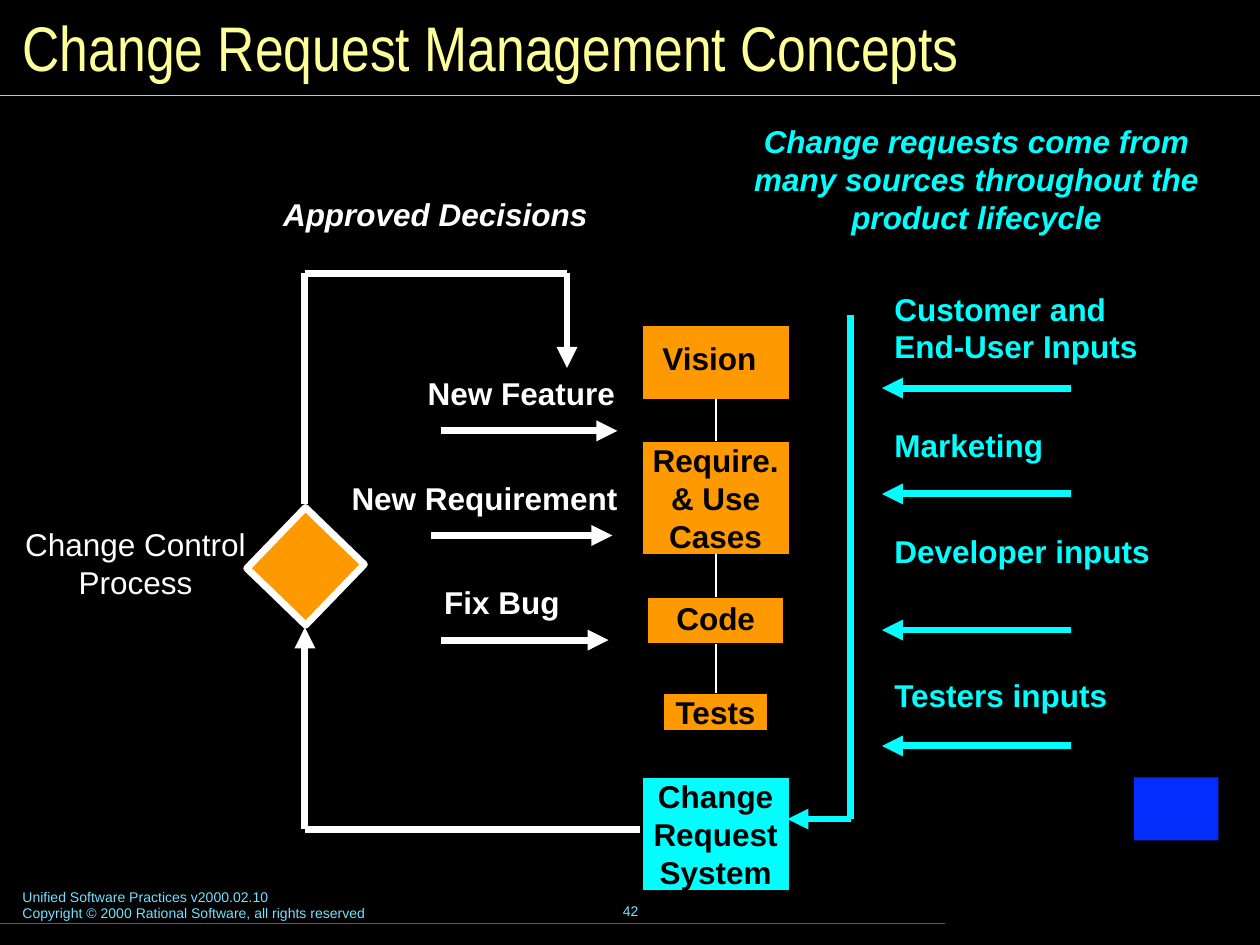
from dataclasses import dataclass

import pptx
import pptx.dml.color
import pptx.enum.shapes
import pptx.enum.text
import pptx.oxml
import pptx.oxml.ns
import pptx.util

Inches = pptx.util.Inches
Pt = pptx.util.Pt
Align = pptx.enum.text.PP_ALIGN
Anchor = pptx.enum.text.MSO_ANCHOR
BOTTOM, TOP = 2, 0  # connection sites of a rectangle


@dataclass(frozen=True)
class Theme:
    black: str = "000000"
    white: str = "FFFFFF"
    cyan: str = "00FFFF"
    orange: str = "FF9900"
    blue: str = "022DFC"
    title: str = "FFFF99"
    footer: str = "73E1FF"
    footer_rule: str = "007E9F"
    font: str = "Arial"
    title_font: str = "Arial Narrow"
    title_size: int = 36
    body_size: int = 18
    footer_size: int = 8
    flow_width: float = 4
    link_width: float = 1.13
    rule_width: float = 0.75


THEME = Theme()


def rgb(value):
    return pptx.dml.color.RGBColor.from_string(value)


def write(frame, paragraphs, color=THEME.white, size=THEME.body_size, font=THEME.font,
          bold=False, italic=False, align=Align.LEFT, anchor=Anchor.TOP,
          margins=(0.1, 0.05, 0.1, 0.05), wrap=True, spacing=None):
    """Fill a text frame with paragraphs in one format."""
    frame.word_wrap = wrap
    frame.auto_size = pptx.enum.text.MSO_AUTO_SIZE.NONE
    frame.vertical_anchor = anchor
    (frame.margin_left, frame.margin_top,
     frame.margin_right, frame.margin_bottom) = map(Inches, margins)
    for index, text in enumerate(paragraphs):
        paragraph = frame.add_paragraph() if index else frame.paragraphs[0]
        paragraph.text = text
        paragraph.alignment = align
        if spacing:
            paragraph.line_spacing = spacing
        for run in paragraph.runs:
            run.font.name = font
            run.font.size = Pt(size)
            run.font.bold = bold
            run.font.italic = italic
            run.font.color.rgb = rgb(color)


def add_label(slide, area, *paragraphs, **style):
    box = slide.shapes.add_textbox(*map(Inches, area))
    write(box.text_frame, paragraphs, **style)


def add_box(slide, area, fill, outline=None, width=THEME.rule_width):
    box = slide.shapes.add_shape(
        pptx.enum.shapes.MSO_SHAPE.RECTANGLE, *map(Inches, area))
    box.shadow.inherit = False
    box.fill.solid()
    box.fill.fore_color.rgb = rgb(fill)
    if outline:
        box.line.color.rgb = rgb(outline)
        box.line.width = Pt(width)
    else:
        box.line.fill.background()
    return box


def add_line(slide, start, end, color, width=THEME.flow_width, arrow=False):
    line = slide.shapes.add_connector(
        pptx.enum.shapes.MSO_CONNECTOR.STRAIGHT, *map(Inches, (*start, *end)))
    line.line.color.rgb = rgb(color)
    line.line.width = Pt(width)
    properties = line._element.spPr
    if arrow:
        head = pptx.oxml.parse_xml(
            f'<a:tailEnd {pptx.oxml.ns.nsdecls("a")} type="triangle"/>')
        properties.find(pptx.oxml.ns.qn("a:ln")).append(head)
    properties.append(pptx.oxml.parse_xml(
        f'<a:effectLst {pptx.oxml.ns.nsdecls("a")}/>'))
    return line


def add_route(slide, points, color):
    """Draw straight segments through the points, with an arrow at the last."""
    for index in range(1, len(points)):
        add_line(slide, points[index - 1], points[index], color,
                 arrow=index == len(points) - 1)


def add_frame(slide):
    # Title, header and footer rules, footer text
    title = slide.shapes.title
    title.left, title.top, title.width, title.height = map(
        Inches, (0.08, 0.08, 9.84, 0.58))
    write(title.text_frame, ["Change Request Management Concepts"], color=THEME.title,
          size=THEME.title_size, font=THEME.title_font, anchor=Anchor.MIDDLE)
    add_line(slide, (0, 0.76), (10, 0.76), THEME.footer, THEME.rule_width)
    add_line(slide, (0, 7.33), (7.5, 7.33), THEME.footer_rule, THEME.rule_width)
    small = dict(color=THEME.footer, size=THEME.footer_size)
    add_label(slide, (0.08, 7, 5.1, 0.37), "Unified Software Practices v2000.02.10",
              "Copyright © 2000 Rational Software, all rights reserved", **small)
    add_label(slide, (3.42, 6.98, 3.17, 0.5), "42", align=Align.CENTER,
              anchor=Anchor.MIDDLE, **small)


def add_artifacts(slide):
    # Stack of lifecycle artifacts, each linked to the next, and the request system
    center = 5.68
    flush = dict(margins=(0, 0, 0, 0))
    stack = [
        (2.58, 1.17, 0.59, THEME.orange, ["Vision"], dict(margins=(0, 0.11, 0.1, 0))),
        (3.5, 1.17, 0.9, THEME.orange, ["Require. & Use Cases"], flush),
        (4.74, 1.08, 0.37, THEME.orange, ["Code"],
         dict(anchor=Anchor.MIDDLE, spacing=0.9)),
        (5.5, 0.83, 0.3, THEME.orange, ["Tests"], flush),
        (6.17, 1.17, 0.9, THEME.cyan, ["Change Request", "System"], flush),
    ]
    boxes = []
    for top, width, height, fill, text, layout in stack:
        box = add_box(slide, (center - width / 2, top, width, height), fill, THEME.black)
        write(box.text_frame, text, color=THEME.black, bold=True,
              align=Align.CENTER, **layout)
        boxes.append(box)
    artifacts = boxes[:-1]
    for upper, lower in zip(artifacts, artifacts[1:]):
        link = add_line(slide, (center, 0), (center, 1), THEME.white, THEME.link_width)
        link.begin_connect(upper, BOTTOM)
        link.end_connect(lower, TOP)


def add_control_process(slide):
    # Decision diamond with its incoming and outgoing flows
    add_route(slide, [(5.08, 6.58), (2.42, 6.58), (2.42, 4.98)], THEME.white)
    add_route(slide, [(2.42, 4), (2.42, 2.17), (4.5, 2.17), (4.5, 2.92)], THEME.white)
    decision = add_box(slide, (2.1, 4.16, 0.65, 0.67), THEME.orange,
                       THEME.white, THEME.flow_width)
    decision.rotation = 44
    add_label(slide, (0.1, 4.12, 1.95, 0.7), "Change Control", "Process",
              align=Align.CENTER, anchor=Anchor.MIDDLE, wrap=False)
    add_label(slide, (1.83, 1.5, 3.25, 0.4), "Approved Decisions",
              bold=True, italic=True, align=Align.CENTER)

    # Approved changes
    changes = [
        ("New Feature", 2.92, 3.08, 4.98, 3.5, 4.9),
        ("New Requirement", 3.75, 2.17, 5, 3.42, 4.86),
        ("Fix Bug", 4.58, 3.42, 4.54, 3.5, 4.83),
    ]
    for text, top, left, right, start, end in changes:
        add_label(slide, (left, top, right - left, 0.4), text, bold=True,
                  align=Align.RIGHT)
        add_line(slide, (start, top + 0.5), (end, top + 0.5), THEME.white, arrow=True)


def add_sources(slide):
    # Sources of change requests and their path into the system
    add_label(slide, (5.75, 0.92, 4, 1),
              "Change requests come from many sources throughout the product lifecycle",
              color=THEME.cyan, bold=True, italic=True, align=Align.CENTER)
    add_route(slide, [(6.75, 2.5), (6.75, 6.5), (6.25, 6.5)], THEME.cyan)
    sources = [
        ("Customer and\nEnd-User Inputs", 2.25, 0.7, 3.08),
        ("Marketing", 3.33, 0.4, 3.92),
        ("Developer inputs", 4.17, 0.7, 5),
        ("Testers inputs", 5.32, 0.4, 5.92),
    ]
    for text, top, height, arrow_y in sources:
        add_label(slide, (7, top, 2.33, height), text, color=THEME.cyan, bold=True)
        add_line(slide, (8.5, arrow_y), (7, arrow_y), THEME.cyan, arrow=True)
    add_box(slide, (9, 6.17, 0.67, 0.5), THEME.blue)


def main():
    deck = pptx.Presentation()
    deck.slide_width, deck.slide_height = Inches(10), Inches(7.5)
    slide = deck.slides.add_slide(deck.slide_layouts[5])
    slide.background.fill.solid()
    slide.background.fill.fore_color.rgb = rgb(THEME.black)
    add_frame(slide)
    add_artifacts(slide)
    add_control_process(slide)
    add_sources(slide)
    deck.save("out.pptx")


if __name__ == "__main__":
    main()
